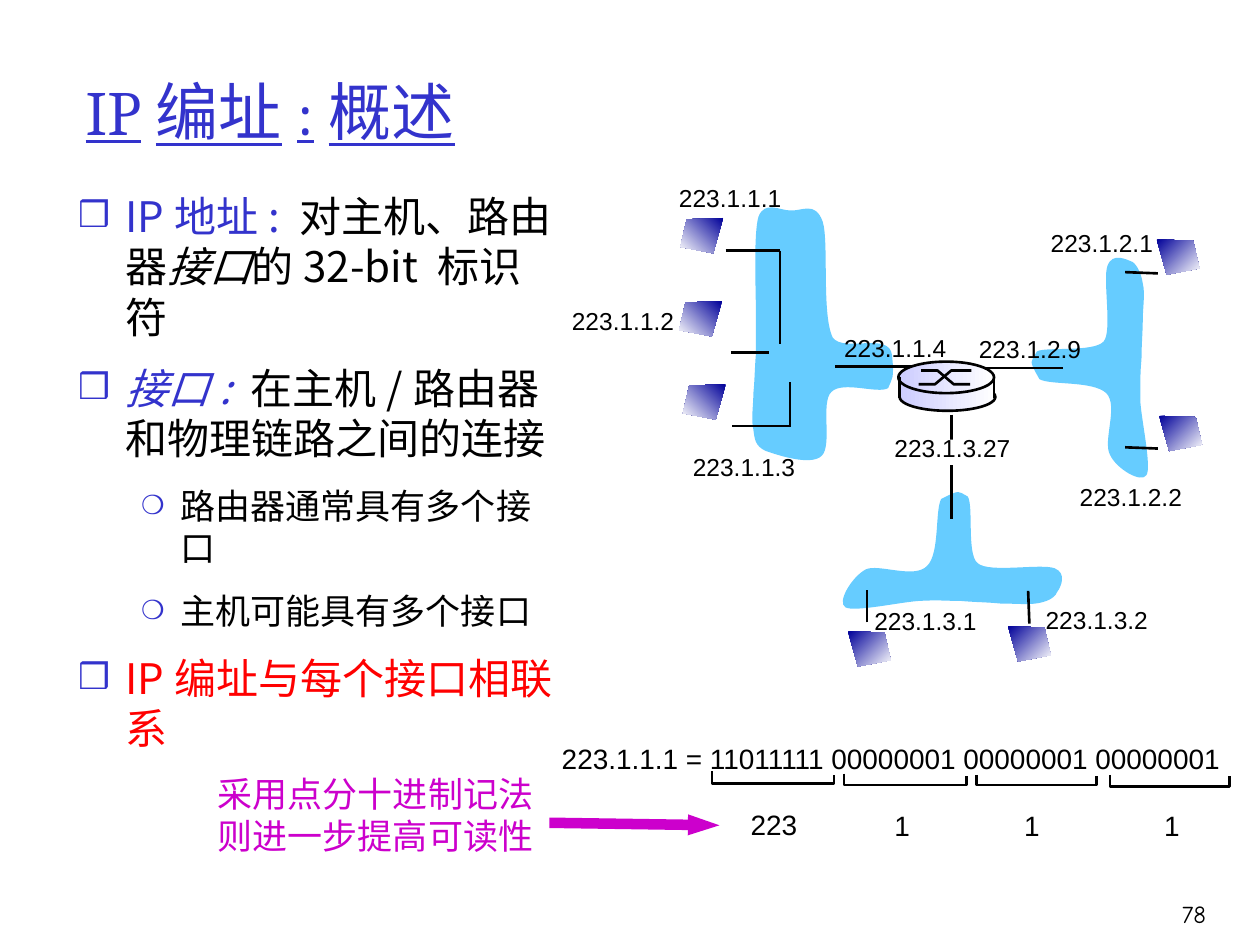
from lxml.etree import SubElement
from pptx import Presentation
from pptx.dml.color import RGBColor
from pptx.enum.shapes import MSO_CONNECTOR, MSO_SHAPE
from pptx.enum.text import MSO_ANCHOR, MSO_AUTO_SIZE, PP_ALIGN
from pptx.oxml.ns import qn
from pptx.util import Inches, Pt

COLORS = {name: RGBColor.from_string(value) for name, value in {
    "blue": "3333CC", "black": "000000", "red": "FF0000", "magenta": "CC00CC",
    "cloud": "66CCFF", "white": "FFFFFF", "navy": "000099", "lilac": "CCCCFF"}.items()}

prs = Presentation()
prs.slide_width, prs.slide_height = Inches(10), Inches(7.5)
CELL = prs.slide_width / 100  # the grid has 100 columns and 75 rows
slide = prs.slides.add_slide(prs.slide_layouts[1])
shapes = slide.shapes


def outline(points, closed=False):
    """Freeform through grid points: a bare outline, or a closed area without a line."""
    cells = [(round(x * CELL), round(y * CELL)) for x, y in points]
    builder = shapes.build_freeform(*cells[0], scale=1)
    builder.add_line_segments(cells[1:], close=closed)
    sp = builder.convert_to_shape()
    sp.shadow.inherit = False
    if closed:
        sp.line.fill.background()
    else:
        sp.fill.background()
        sp.line.color.rgb, sp.line.width = COLORS["black"], Pt(1.5)
    return sp


def wire(x1, y1, x2, y2, color="black", width=1.5):
    ends = [round(v * CELL) for v in (x1, y1, x2, y2)]
    line = shapes.add_connector(MSO_CONNECTOR.STRAIGHT, *ends)
    line.line.color.rgb, line.line.width = COLORS[color], Pt(width)
    SubElement(line._element.spPr, qn("a:effectLst"))
    return line


# Title and list
title, body = shapes.title, slide.placeholders[1]
for sp, box in ((title, (5.8, 2.5, 88.2, 12.5)), (body, (5.2, 14.6, 40.4, 41.3))):
    sp.left, sp.top, sp.width, sp.height = [round(v * CELL) for v in box]
    sp.text_frame.auto_size = MSO_AUTO_SIZE.NONE
title.text_frame.vertical_anchor = MSO_ANCHOR.MIDDLE
p = title.text_frame.paragraphs[0]
p.text, p.alignment = "IP编址:概述", PP_ALIGN.LEFT
for name, value in {"name": "Cambria", "size": Pt(36), "underline": True}.items():
    setattr(p.runs[0].font, name, value)
p.runs[0].font.color.rgb = COLORS["blue"]

LEVELS = [{"char": "❒", "bullet": 85, "margin": 27, "hang": 27, "size": 24},
          {"char": "❍", "bullet": 75, "margin": 58.5, "hang": 22.5, "size": 20}]
items = [
    (0, [("IP地址: ", "blue", False), ("对主机、路由器", "black", False),
         ("接口", "black", True), ("的32-bit 标识符", "black", False)]),
    (0, [("接口: ", "blue", True), ("在主机/路由器和物理链路之间的连接", "black", False)]),
    (1, [("路由器通常具有多个接口", "black", False)]),
    (1, [("主机可能具有多个接口", "black", False)]),
    (0, [("IP编址与每个接口相联系", "red", False)]),
]
tf = body.text_frame
for i, (level, runs) in enumerate(items):
    p = tf.add_paragraph() if i else tf.paragraphs[0]
    fmt = LEVELS[level]
    p.level, p.space_before = level, Pt(12 if i else 0)
    pPr = p._p.get_or_add_pPr()
    pPr.set("marL", str(Pt(fmt["margin"])))
    pPr.set("indent", str(-Pt(fmt["hang"])))
    SubElement(SubElement(pPr, qn("a:buClr")), qn("a:srgbClr"), val=str(COLORS["blue"]))
    SubElement(pPr, qn("a:buSzPct"), val=str(fmt["bullet"] * 1000))
    SubElement(pPr, qn("a:buChar"), char=fmt["char"])
    for text, color, italic in runs:
        r = p.add_run()
        r.text = text
        for name, value in {"name": "Noto Sans CJK SC", "size": Pt(fmt["size"]),
                            "italic": italic}.items():
            setattr(r.font, name, value)
        r.font.color.rgb = COLORS[color]

# Brackets under the four bytes: left, right, top, hook top, bottom
for left, right, top, hook, bottom in ((56.5, 66.2, 61.2, 61.5, 62.2), (67, 76.7, 61.4, 61.6, 62.3),
                                       (77.5, 87, 61.5, 61.6, 62.3), (88.1, 97.6, 61.5, 61.6, 62.4)):
    outline([(left, top), (left, bottom), (right, bottom), (right, hook)])
arrow = wire(43.6, 65.3, 57.1, 65.5, "magenta", 6)
SubElement(arrow.line._get_or_add_ln(), qn("a:tailEnd"), type="triangle", w="sm", len="med")

# Subnet clouds: a start point, then three Bezier points for each curve
clouds = [
    [(74.7, 39.6), (74.2, 40.5), (74.6, 43.9), (73.6, 44.9), (72.6, 46), (69.7, 44.7), (68.7, 45.2),
     (67.6, 45.8), (66.4, 47.8), (67.1, 48.2), (67.8, 48.6), (71.4, 47.8), (72.9, 47.7),
     (74.5, 47.6), (75.2, 47.7), (76.3, 47.7), (77.4, 47.8), (78.4, 47.8), (79.4, 47.9),
     (80.4, 47.9), (81.5, 48), (82.2, 47.9), (83, 47.8), (83.7, 47.5), (83.9, 47),
     (84.2, 46.6), (84.7, 45.5), (83.7, 45.1), (82.6, 44.7), (78.5, 45.5), (77.6, 44.7),
     (76.7, 44), (77.3, 40.1), (76.8, 39.4), (76, 39), (76.3, 38.8), (74.7, 39.6)],
    [(82.5, 30.1), (83.4, 30.6), (86.7, 30.2), (87.8, 31.2), (88.8, 32.2), (87.5, 35), (88.1, 36.1),
     (88.6, 37.2), (90.6, 38.4), (91, 37.7), (91.4, 37), (90.6, 33.4), (90.5, 31.8),
     (90.5, 30.3), (90.5, 29.5), (90.6, 28.5), (90.6, 27.4), (90.7, 26.3), (90.7, 25.4),
     (90.7, 24.4), (90.9, 23.3), (90.7, 22.5), (90.6, 21.8), (90.3, 21.1), (89.9, 20.8),
     (89.4, 20.6), (88.3, 20), (87.9, 21.1), (87.5, 22.1), (88.3, 26.3), (87.6, 27.1),
     (86.8, 28), (82.9, 27.5), (82.3, 27.9), (81.8, 28.8), (81.6, 28.5), (82.5, 30.1)],
    [(70.8, 28.2), (70.6, 26.3), (67, 28), (66.1, 26.8), (65.2, 25), (65.8, 19.2), (65.3, 17.6),
     (64.7, 15.9), (63.6, 16.8), (62.7, 16.7), (61.9, 16.7), (60.7, 15.9), (60.2, 17.2),
     (59.8, 18.6), (60, 23), (60, 24.8), (60, 26.6), (60, 27.1), (60, 28.1),
     (59.9, 29.2), (59.9, 30.3), (59.8, 31.2), (59.8, 32.2), (59.6, 33.3), (59.8, 34.1),
     (59.9, 34.8), (59.9, 35.4), (60.8, 35.8), (61.7, 36.1), (64.3, 37), (65.2, 36.2),
     (66.1, 35.4), (65.1, 31.9), (66, 31.1), (66.9, 30.2), (69.7, 31.3), (70.5, 30.8),
     (70.8, 30), (71, 30.1), (70.8, 28.2)],
]
for nodes in clouds:
    sp = outline(nodes, closed=True)
    sp.fill.solid()
    sp.fill.fore_color.rgb = COLORS["cloud"]
    # Every three straight segments become one Bezier curve
    segments = list(sp._element.iter(qn("a:lnTo")))
    for first, second, third in zip(segments[::3], segments[1::3], segments[2::3]):
        first.tag = qn("a:cubicBezTo")
        for segment in (second, third):
            first.append(segment[0])
            segment.getparent().remove(segment)

# Links of the hosts and the router
for ends in ((57.6, 19.9, 61.9, 19.9), (61.9, 19.9, 61.9, 27.3), (58, 28, 61, 28),
             (58.1, 33.8, 62.7, 33.8), (62.7, 33.9, 62.7, 30.3), (66.3, 29.1, 72.5, 29.1),
             (78.1, 29.2, 84.4, 29.2), (89.3, 21.6, 91.9, 21.7), (89.3, 35.5, 91.9, 35.6),
             (75.5, 32.9, 75.5, 41.2), (68.8, 49.4, 68.8, 46.8), (81.7, 49.5, 81.6, 46.9)):
    wire(*ends)

# White patches behind two addresses, then the router drum
gradients = []
for kind, box in ((MSO_SHAPE.RECTANGLE, (45.8, 25.4, 9.1, 2)),
                  (MSO_SHAPE.RECTANGLE, (70.9, 34.9, 9.3, 2)),
                  (MSO_SHAPE.OVAL, (71.4, 30.4, 7.6, 2.2)),
                  (MSO_SHAPE.RECTANGLE, (71.4, 30.2, 7.6, 1.3)),
                  (MSO_SHAPE.OVAL, (71.3, 28.7, 7.6, 2.5))):
    sp = shapes.add_shape(kind, *[round(v * CELL) for v in box])
    sp.shadow.inherit = False
    sp.fill.solid()
    sp.fill.fore_color.rgb = COLORS["white"]
    if kind == MSO_SHAPE.OVAL:
        sp.line.color.rgb, sp.line.width = COLORS["black"], Pt(1.5)
    else:
        sp.line.fill.background()
    if box[0] > 71:
        gradients.append((sp, 0, "lilac"))
outline([(72.9, 30.5), (74.2, 30.5), (75.5, 29.4), (77.1, 29.4)])
outline([(73.1, 29.4), (74.4, 29.4), (75.7, 30.5), (77, 30.5)])
for x in (71.4, 78.9):
    wire(x, 29.9, x, 31.6)

# Hosts: outer top corner and side (-1 mirrors the outline)
for x, y, side in ((57.4, 17.3, -1), (57.3, 23.9, -1), (57.6, 30.5, -1),
                   (91.8, 19, 1), (92, 33, 1), (80, 49.7, 1), (67.3, 50.1, 1)):
    corners = ((0, 0), (2.9, 0.1), (3.4, 2.3), (0.8, 2.8))
    sp = outline([(x + side * dx, y + dy) for dx, dy in corners], closed=True)
    gradients.append((sp, 270 + 45 * side, "navy"))

for sp, angle, color in gradients:
    sp.fill.gradient()
    sp.fill.gradient_angle = angle
    for stop, name, position in zip(sp.fill.gradient_stops, (color, "white"), (0, 1)):
        stop.color.rgb, stop.position = COLORS[name], position

# Labels: text, box, size, colour, font
addresses = {"223.1.1.1": (52.9, 14), "223.1.1.2": (44.4, 23.8), "223.1.1.3": (54, 35.4),
             "223.1.1.4": (66, 25.9), "223.1.2.9": (76.7, 26), "223.1.2.2": (84.7, 37.8),
             "223.1.2.1": (82.4, 17.6), "223.1.3.2": (82, 47.5), "223.1.3.1": (68.4, 47.6)}
labels = [(text, (*corner, 10.2, 3.4), 14, "black", "Arial") for text, corner in addresses.items()]
labels += [("1", (x, 63.7, 3.2, 3.7), 16, "black", "Arial") for x in (70, 80.3, 91.4)]
labels += [
    ("223.1.3.27", (70, 33.9, 11.2, 3.4), 14, "black", "Arial"),
    ("223.1.1.1 = 11011111 00000001 00000001 00000001", (43.6, 58.4, 55.2, 3.7), 16, "black", "Arial"),
    ("223", (58.6, 63.6, 5.7, 3.7), 16, "black", "Arial"),
    ("采用点分十进制记法\n则进一步提高可读性", (16.3, 60.8, 27.3, 7.7), 20, "magenta", "Arial"),
    ("78", (89.3, 70, 7.4, 5), 14, "black", "Comic Neue"),
]
for text, box, size, color, font in labels:
    tf = shapes.add_textbox(*[round(v * CELL) for v in box]).text_frame
    tf.text, tf.word_wrap = text, False
    for p in tf.paragraphs:
        r = p.runs[0]
        r.font.name, r.font.size, r.font.color.rgb = font, Pt(size), COLORS[color]
# The page number, last of the labels, sits at the right of its box
tf.word_wrap, tf.vertical_anchor = True, MSO_ANCHOR.MIDDLE
tf.paragraphs[0].alignment = PP_ALIGN.RIGHT

prs.save("out.pptx")
